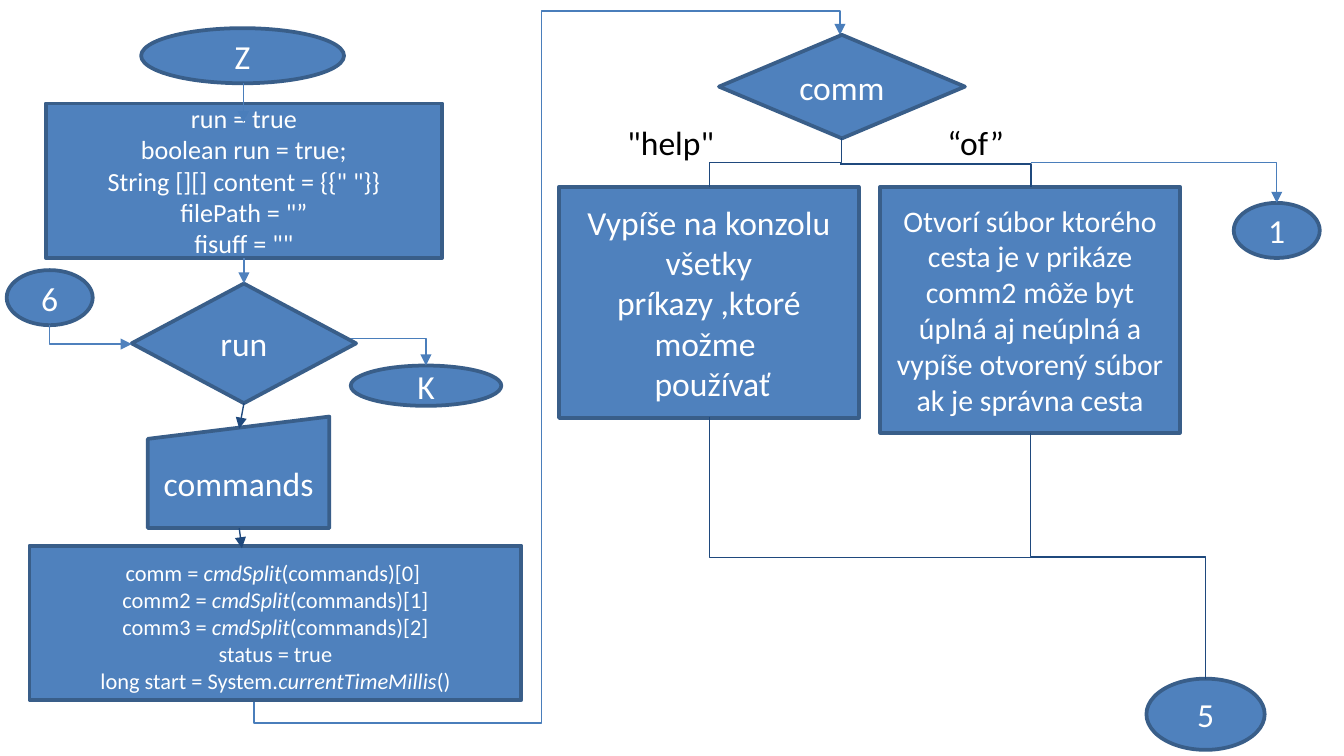
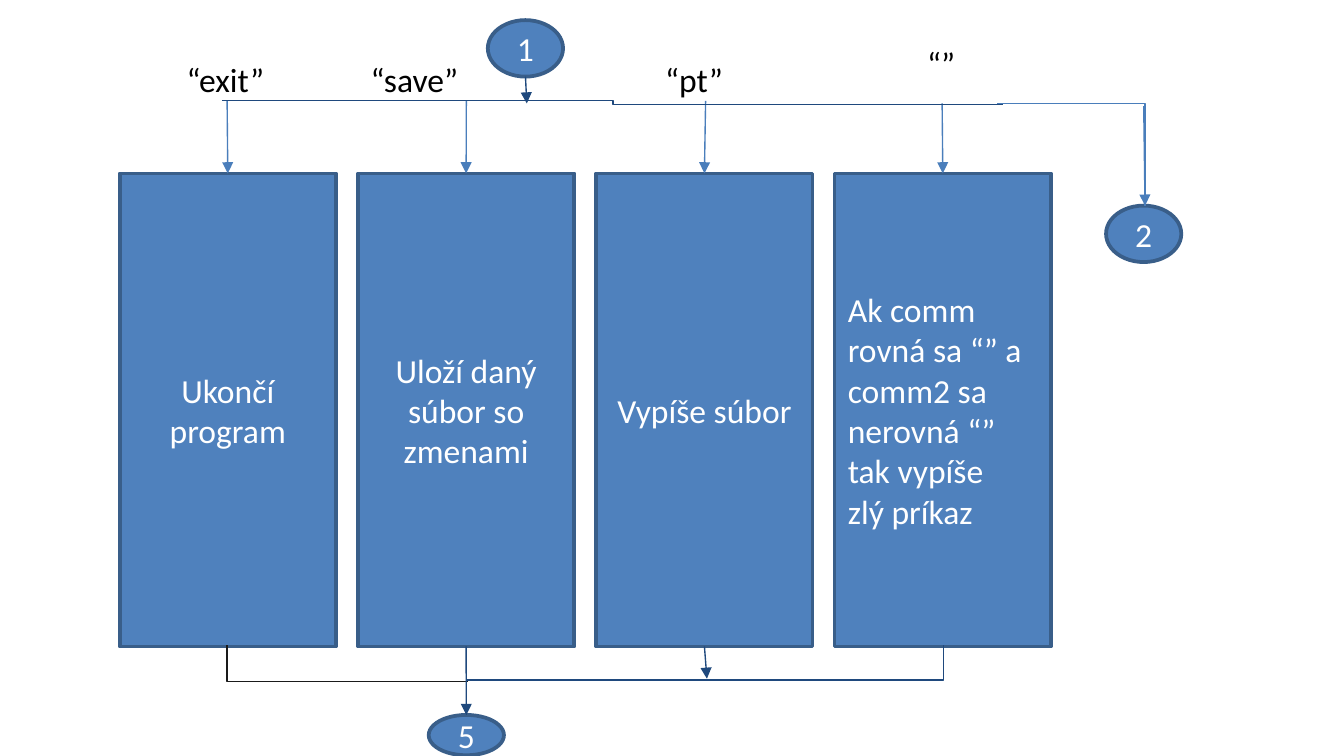
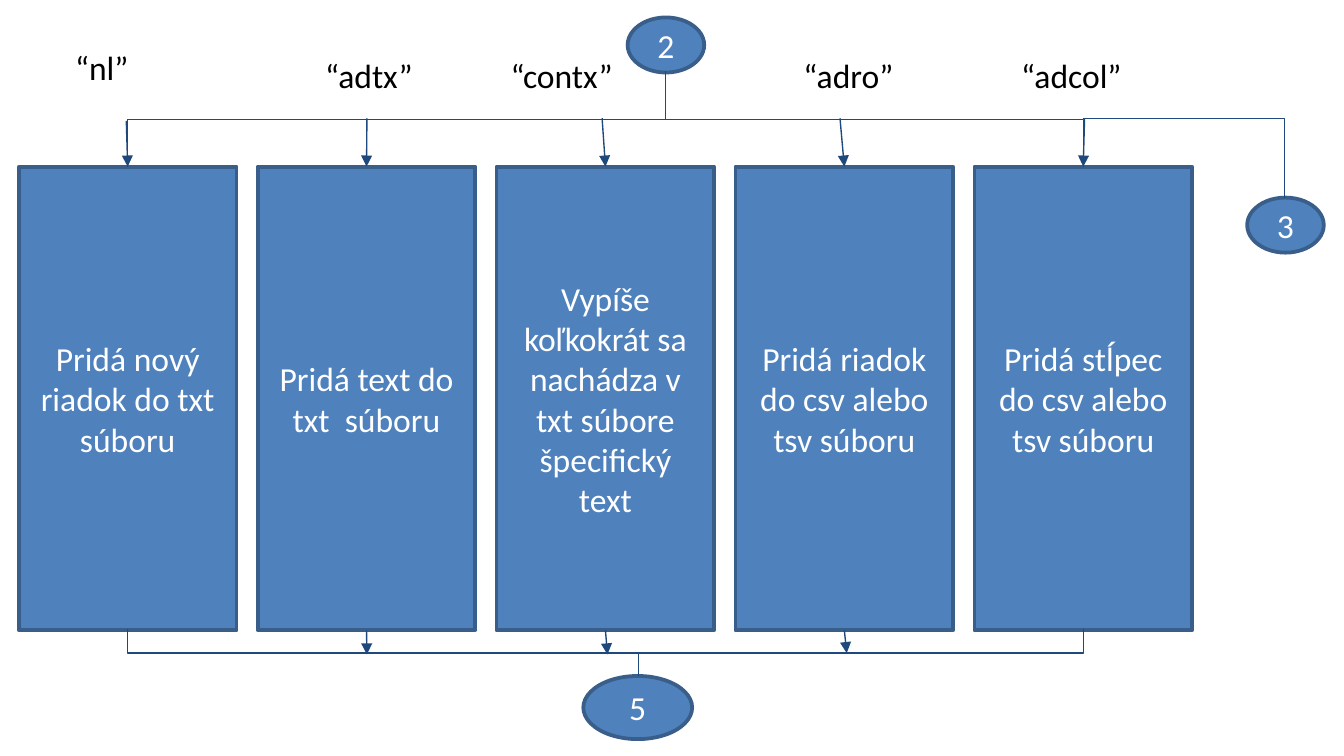
import pptx
import pptx.dml.color
import pptx.enum.shapes
import pptx.enum.text
import pptx.oxml.ns
import pptx.util
from pptx.util import Inches

RGBColor = pptx.dml.color.RGBColor
SHAPE = pptx.enum.shapes.MSO_SHAPE
CONNECTOR = pptx.enum.shapes.MSO_CONNECTOR
ALIGN = pptx.enum.text.PP_ALIGN
ANCHOR = pptx.enum.text.MSO_ANCHOR
qn = pptx.oxml.ns.qn

BLUE = RGBColor(0x4F, 0x81, 0xBD)
OUTLINE = RGBColor(0x39, 0x5E, 0x89)
MID_BLUE = RGBColor(0x4A, 0x7E, 0xBB)
NAVY = RGBColor(0x1F, 0x49, 0x7D)
INK = RGBColor(0x1A, 0x1A, 0x1A)
WHITE = RGBColor(0xFF, 0xFF, 0xFF)
BLACK = RGBColor(0x00, 0x00, 0x00)
TOP, BOTTOM = 0, 2


def put_text(slide, text, box, kind=None, size=18, align=ALIGN.CENTER, anchor=ANCHOR.MIDDLE):
    """Add a filled block, or a plain label if kind is None; *stars* mark italics."""
    place = [Inches(length) for length in box]
    if kind is None:
        block = slide.shapes.add_textbox(*place)
        color, align, anchor = BLACK, ALIGN.LEFT, ANCHOR.TOP
    else:
        block = slide.shapes.add_shape(kind, *place)
        block.shadow.inherit = False
        block.fill.solid()
        block.fill.fore_color.rgb = BLUE
        block.line.color.rgb = OUTLINE
        block.line.width = pptx.util.Pt(2)
        color = WHITE
    frame = block.text_frame
    frame.word_wrap = kind is not None
    frame.vertical_anchor = anchor
    for i, line in enumerate(text.split("\n")):
        paragraph = frame.paragraphs[0] if i == 0 else frame.add_paragraph()
        paragraph.alignment = align
        for j, part in enumerate(line.split("*")):
            run = paragraph.add_run()
            run.text = part
            run.font.name = "Calibri"
            run.font.size = pptx.util.Pt(size)
            run.font.color.rgb = color
            if j % 2:
                run.font.italic = True
    return block


def link(slide, *points, color=NAVY, arrow=False, begin=None, end=None):
    """Join points by a straight or right-angled connector; begin and end are (block, side)."""
    (x1, y1), (x2, y2) = points[0], points[-1]
    bent = len(points) > 2
    vertical = bent and points[0][0] == points[1][0]
    left, top, right, bottom = x1, y1, x2, y2
    turn = 1 if x2 < x1 else -1
    if vertical:  # lay the connector flat around its centre, then turn it by 90 degrees
        mid_x, mid_y = (x1 + x2) / 2, (y1 + y2) / 2
        half_w, half_h = turn * (y2 - y1) / 2, abs(x2 - x1) / 2
        left, right = mid_x - half_w, mid_x + half_w
        top, bottom = mid_y - half_h, mid_y + half_h
    line = slide.shapes.add_connector(
        CONNECTOR.ELBOW if bent else CONNECTOR.STRAIGHT,
        Inches(left), Inches(top), Inches(right), Inches(bottom))
    line.line.color.rgb = color
    line.line.width = pptx.util.Pt(0.75)
    properties = line._element.spPr
    if vertical:
        properties.find(qn("a:xfrm")).set("rot", str(turn * 90 % 360 * 60000))
    if bent:
        geometry = properties.find(qn("a:prstGeom"))
        geometry.set("prst", f"bentConnector{len(points) - 1}")
        guides = geometry.get_or_add_avLst()
        for i in range(1, len(points) - 2):
            axis = (i + 1 + vertical) % 2
            share = (points[i][axis] - points[0][axis]) / (points[-1][axis] - points[0][axis])
            guides.append(guides.makeelement(
                qn("a:gd"), {"name": f"adj{i}", "fmla": f"val {round(share * 100000)}"}))
    if arrow:
        stroke = properties.find(qn("a:ln"))
        stroke.append(stroke.makeelement(qn("a:tailEnd"), {"type": "triangle"}))
    properties.append(properties.makeelement(qn("a:effectLst"), {}))
    if begin:
        line.begin_connect(*begin)
    if end:
        line.end_connect(*end)


deck = pptx.Presentation()
deck.slide_width = Inches(10)
deck.slide_height = deck.slide_width * 9 // 16
start, commands, edits = [deck.slides.add_slide(deck.slide_layouts[6]) for _ in range(3)]

# Slide 1: start of the program and the first commands
link(start, (1.89, 5.1), (1.89, 5.38), (4.03, 5.38), (4.03, 0.08), (6.25, 0.08), (6.25, 0.26),
     color=MID_BLUE, arrow=True)
for text, box in [
    ("Z", (1.05, 0.21, 1.51, 0.41)),
    ("1", (9.18, 1.51, 0.64, 0.41)),
    ("5", (8.53, 5.05, 0.88, 0.53)),
    ("K", (2.61, 2.72, 1.12, 0.3)),
    ("6", (0.05, 2.01, 0.64, 0.41)),
]:
    put_text(start, text, box, SHAPE.OVAL)
setup = put_text(
    start,
    'run = true\nboolean run = true;\nString [][] content = {{" "}}\nfilePath = "”\nfisuff = ""',
    (0.34, 0.77, 2.95, 1.15), SHAPE.RECTANGLE, size=14)
run_test = put_text(start, "run", (0.98, 2.11, 1.67, 0.89), SHAPE.DIAMOND)
put_text(start, "comm", (5.35, 0.26, 1.83, 0.77), SHAPE.DIAMOND)
put_text(start, "commands", (1.1, 3.1, 1.35, 0.83), SHAPE.FLOWCHART_MANUAL_INPUT)
put_text(
    start,
    "comm = *cmdSplit*(commands)[0] \ncomm2 = *cmdSplit*(commands)[1]\n"
    "comm3 = *cmdSplit*(commands)[2]\nstatus = true\nlong start = System.*currentTimeMillis*()",
    (0.22, 4.06, 3.66, 1.15), SHAPE.RECTANGLE, size=12, anchor=ANCHOR.BOTTOM)
put_text(start, " Vypíše na konzolu  všetky príkazy ,ktoré\nmožme \n používať",
         (4.16, 1.39, 2.23, 1.72), SHAPE.RECTANGLE)
put_text(
    start,
    "Otvorí súbor ktorého cesta je v prikáze comm2 môže byt úplná aj neúplná "
    "a vypíše otvorený súbor ak je správna cesta",
    (6.55, 1.39, 2.23, 1.83), SHAPE.RECTANGLE, size=16)
put_text(start, '"help"', (4.57, 0.86, 0.85, 0.3))
put_text(start, "“of”", (6.95, 0.86, 0.64, 0.3))

link(start, (1.81, 0.62), (1.81, 0.91), color=MID_BLUE, arrow=True)
link(start, (1.81, 1.92), (1.81, 2.11), color=BLUE, arrow=True,
     begin=(setup, BOTTOM), end=(run_test, TOP))
link(start, (1.81, 3), (1.78, 3.19), arrow=True, begin=(run_test, BOTTOM))
link(start, (1.78, 3.93), (1.8, 4.08), arrow=True)
link(start, (0.37, 2.42), (0.37, 2.56), (0.98, 2.56), color=BLUE, arrow=True)
link(start, (2.61, 2.52), (3.17, 2.52), (3.17, 2.72), color=MID_BLUE, arrow=True)
link(start, (7.67, 1.21), (9.5, 1.21), (9.5, 1.51), color=MID_BLUE, arrow=True)
link(start, (6.26, 1.03), (6.26, 1.21), (5.28, 1.21), (5.28, 1.39))
link(start, (6.25, 1.22), (7.67, 1.22), (7.67, 1.39))
link(start, (5.28, 3.1), (5.28, 4.15), (8.97, 4.15), (8.97, 5.05))
link(start, (7.67, 3.22), (7.67, 4.14), (8.97, 4.14), (8.97, 5.05))

# Slide 2: exit, save, print and unknown command
for text, box in [
    ("1", (3.63, 0.15, 0.56, 0.42)),
    ("2", (8.23, 1.53, 0.56, 0.42)),
    ("5", (3.19, 5.32, 0.56, 0.3)),
]:
    put_text(commands, text, box, SHAPE.OVAL)
for text, box in [
    ("“exit”", (1.29, 0.39, 0.8, 0.3)),
    ("“save”", (2.66, 0.39, 0.88, 0.3)),
    ("“pt”", (4.85, 0.39, 0.65, 0.3)),
    ("“”", (6.8, 0.27, 0.42, 0.3)),
]:
    put_text(commands, text, box)
action_pitch = (6.21 - 0.89) / 3
actions = []
for i, (text, align, branch) in enumerate([
    ("Ukončí program", ALIGN.CENTER, (1.69, 0.75)),
    ("Uloží daný súbor so zmenami", ALIGN.CENTER, (3.47, 0.75)),
    ("Vypíše súbor", ALIGN.CENTER, (5.25, 0.75)),
    ("Ak comm rovná sa “” a comm2 sa nerovná “”\ntak vypíše\nzlý príkaz",
     ALIGN.LEFT, (7.01, 0.77)),
]):
    action = put_text(commands, text, (0.89 + action_pitch * i, 1.29, 1.61, 3.52),
                      SHAPE.RECTANGLE, align=align)
    link(commands, branch, (branch[0], 1.29), color=MID_BLUE, arrow=True, end=(action, TOP))
    actions.append(action)
link(commands, (1.65, 0.75), (4.56, 0.75), (4.56, 0.78), (7.46, 0.78))
link(commands, (3.91, 0.57), (3.92, 0.77), arrow=True)
link(commands, (7.42, 0.77), (8.52, 0.77), (8.52, 1.53), color=MID_BLUE)
link(commands, (8.51, 0.79), (8.52, 1.53), color=MID_BLUE, arrow=True)
link(commands, (7.02, 4.8), (7.02, 5.06), (3.47, 5.06), (3.47, 5.32))
link(commands, (1.69, 4.8), (1.69, 5.07), (3.48, 5.07), color=INK)
link(commands, (3.47, 4.8), (3.47, 5.32), arrow=True, begin=(actions[1], BOTTOM))
link(commands, (5.25, 4.8), (5.26, 5.05), arrow=True, begin=(actions[2], BOTTOM))

# Slide 3: commands that edit a file
for text, box in [
    ("2", (4.67, 0.13, 0.57, 0.41)),
    ("3", (9.28, 1.47, 0.57, 0.41)),
    ("5", (4.34, 5.03, 0.81, 0.47)),
]:
    put_text(edits, text, box, SHAPE.OVAL)
edit_pitch = (7.25 - 0.14) / 4
for i, (name, label_box, text, branch, out) in enumerate([
    ("“nl”", (0.46, 0.3, 0.61, 0.3), "Pridá nový riadok do txt súboru", (0.94, 0.9), None),
    ("“adtx”", (2.32, 0.36, 0.88, 0.3), "Pridá text do\ntxt  súboru", (2.73, 0.88), (2.73, 4.87)),
    ("“contx”", (3.7, 0.36, 0.99, 0.3),
     "Vypíše koľkokrát sa nachádza v txt súbore špecifický text", (4.48, 0.88), (4.52, 4.87)),
    ("“adro”", (5.88, 0.36, 0.9, 0.3), "Pridá riadok do csv alebo tsv súboru",
     (6.25, 0.88), (6.3, 4.86)),
    ("“adcol”", (7.5, 0.36, 0.98, 0.3), "Pridá stĺpec do csv alebo tsv súboru",
     (8.07, 0.88), None),
]):
    put_text(edits, name, label_box)
    edit = put_text(edits, text, (0.14 + edit_pitch * i, 1.24, 1.62, 3.45), SHAPE.RECTANGLE)
    link(edits, branch, (branch[0], 1.24), arrow=True, end=(edit, TOP))
    if out:
        link(edits, (out[0], 4.69), out, arrow=True, begin=(edit, BOTTOM))
for outer in (0.95, 8.06):
    link(edits, (4.95, 0.53), (4.95, 0.89), (outer, 0.89), (outer, 1.24))
    link(edits, (outer, 4.68), (outer, 4.86), (4.75, 4.86), (4.75, 5.03))
link(edits, (8.06, 0.88), (9.56, 0.88), (9.56, 1.47))

deck.save("out.pptx")
